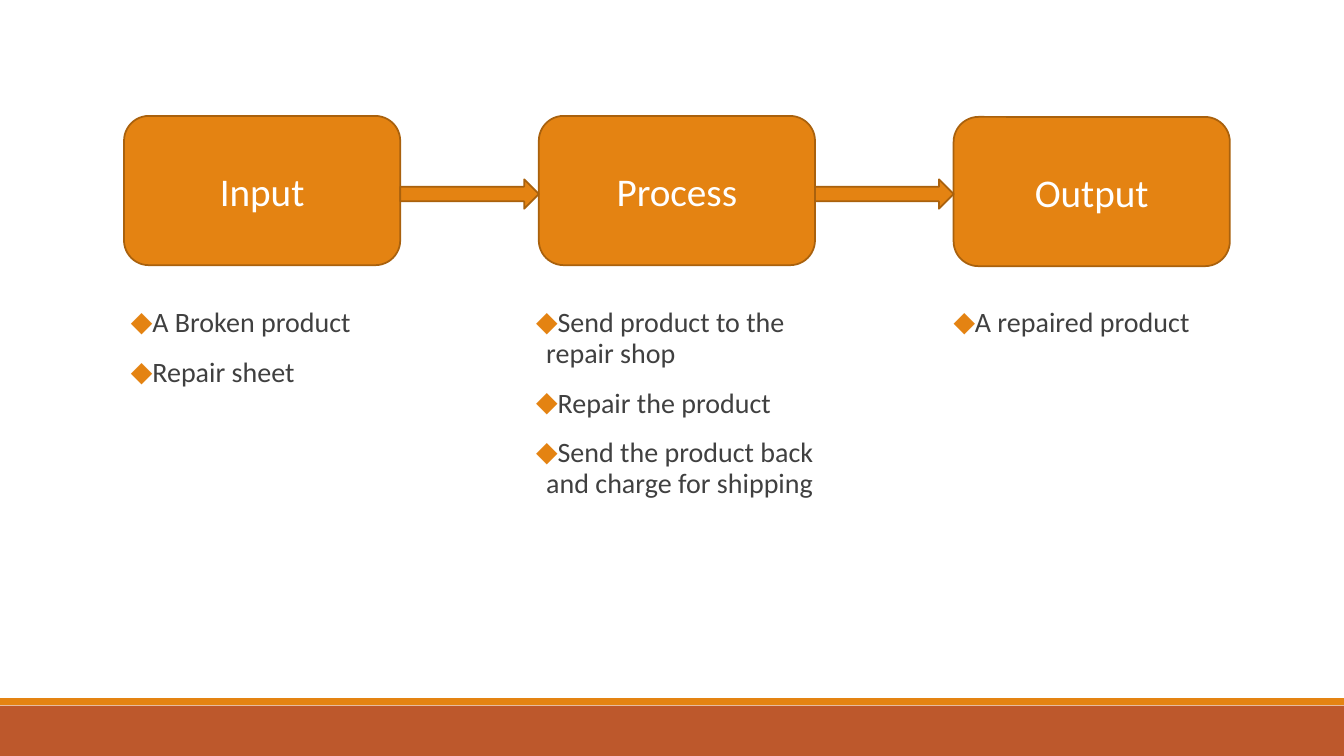
from dataclasses import dataclass

from lxml.etree import SubElement
from pptx import Presentation
from pptx.dml.color import RGBColor
from pptx.enum.shapes import MSO_SHAPE
from pptx.enum.text import MSO_ANCHOR, PP_ALIGN
from pptx.oxml.ns import qn
from pptx.util import Pt


@dataclass(frozen=True)
class Theme:
    font: str = "Calibri"
    accent: str = "E48312"
    outline: str = "A9610D"
    footer: str = "BD582C"
    light: str = "FFFFFF"
    dark: str = "404040"
    stage_size: int = 28
    bullet_size: int = 20


THEME = Theme()
STAGE_LEFT, STAGE_STEP, STAGE_WIDTH, STAGE_HEIGHT = 88.6, 296.3, 197.3, 106.6
STAGES = [
    ("Input", 82.8, 86.4, 7.2, ["A Broken product", "Repair sheet"]),
    ("Process", 82.8, 383, 0, [
        "Send product to the repair shop",
        "Repair the product",
        "Send the product back and charge for shipping",
    ]),
    ("Output", 83.5, 681.1, 0, ["A repaired product"]),
]


def set_values(target, values):
    for name, value in values.items():
        setattr(target, name, value)


def add_span(para, text, size, color):
    span = para.add_run()
    span.text = text
    set_values(span.font, {"name": THEME.font, "size": Pt(size)})
    span.font.color.rgb = RGBColor.from_string(color)


def add_block(page, kind, frame, fill, outline=None):
    block = page.shapes.add_shape(kind, *map(Pt, frame))
    block.shadow.inherit = False
    block.fill.solid()
    block.fill.fore_color.rgb = RGBColor.from_string(fill)
    if outline:
        block.line.color.rgb = RGBColor.from_string(outline)
        block.line.width = Pt(1.25)
    else:
        block.line.fill.background()
    return block


def add_stage(page, label, left, top):
    frame = (left, top, STAGE_WIDTH, STAGE_HEIGHT)
    stage = add_block(page, MSO_SHAPE.ROUNDED_RECTANGLE, frame, THEME.accent, THEME.outline)
    set_values(stage.text_frame, {"word_wrap": True, "vertical_anchor": MSO_ANCHOR.MIDDLE})
    para = stage.text_frame.paragraphs[0]
    para.alignment = PP_ALIGN.CENTER
    add_span(para, label, THEME.stage_size, THEME.light)


def add_bullet(para):
    properties = para._p.get_or_add_pPr()
    properties.set("marL", str(Pt(7.2)))
    properties.set("indent", str(Pt(-7.2)))
    color = SubElement(properties, qn("a:buClr"))
    SubElement(color, qn("a:srgbClr"), val=THEME.accent)
    SubElement(properties, qn("a:buFont"), typeface=THEME.font)
    SubElement(properties, qn("a:buChar"), char="◆")


def add_list(page, items, left, inset):
    box = page.shapes.add_textbox(Pt(left), Pt(217), Pt(198.7), Pt(245))
    set_values(box.text_frame, {
        "word_wrap": True,
        "margin_left": Pt(inset),
        "margin_right": Pt(inset),
        "margin_top": Pt(3.6),
        "margin_bottom": Pt(3.6),
    })
    for index, item in enumerate(items):
        para = box.text_frame.add_paragraph() if index else box.text_frame.paragraphs[0]
        set_values(para, {"line_spacing": 0.9, "space_before": Pt(12), "space_after": Pt(2)})
        add_bullet(para)
        add_span(para, item, THEME.bullet_size, THEME.dark)


def main():
    deck = Presentation()
    set_values(deck, {"slide_width": Pt(960), "slide_height": Pt(540)})
    page = deck.slides.add_slide(deck.slide_layouts[6])
    add_block(page, MSO_SHAPE.RECTANGLE, (0, 504, 960, 36), THEME.footer)
    add_block(page, MSO_SHAPE.RECTANGLE, (0, 498.7, 960, 5), THEME.accent)
    for index, (label, top, list_left, inset, items) in enumerate(STAGES):
        left = STAGE_LEFT + index * STAGE_STEP
        add_stage(page, label, left, top)
        add_list(page, items, list_left, inset)
        if index:
            gap = STAGE_STEP - STAGE_WIDTH
            frame = (left - gap, 128.1, gap, 21)
            add_block(page, MSO_SHAPE.RIGHT_ARROW, frame, THEME.accent, THEME.outline)
    deck.save("out.pptx")


if __name__ == "__main__":
    main()
